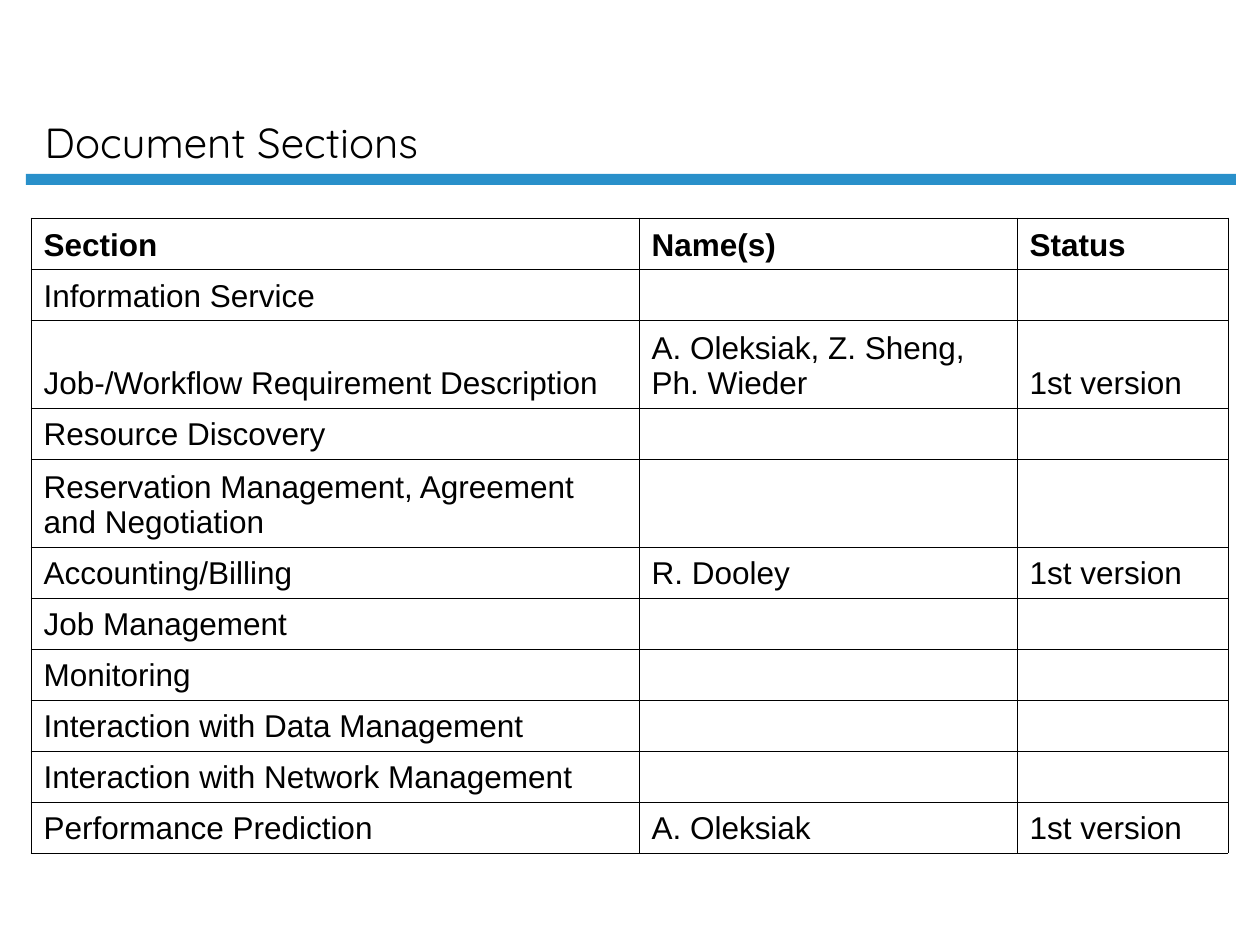
import pptx
import pptx.util
import pptx.dml.color
import pptx.enum.shapes
import pptx.enum.text
import lxml.etree
import pptx.oxml.ns

PX = 914400 / 126


def color(code):
    return pptx.dml.color.RGBColor.from_string(code)


def write(frame, text, size=18, font="Arial", bold=False, ink="000000"):
    frame.word_wrap = True
    par = frame.paragraphs[0]
    par.text = text
    par.alignment = pptx.enum.text.PP_ALIGN.LEFT
    par.font.size = pptx.util.Pt(size)
    par.font.name = font
    par.font.bold = bold
    par.font.color.rgb = color(ink)


deck = pptx.Presentation()
deck.slide_width = round(1260 * PX)
deck.slide_height = round(945 * PX)
slide = deck.slides.add_slide(deck.slide_layouts[5])

bar = slide.shapes.add_shape(
    pptx.enum.shapes.MSO_SHAPE.RECTANGLE,
    *[round(n * PX) for n in (26, 174, 1210, 11)])
bar.shadow.inherit = False
bar.fill.solid()
bar.fill.fore_color.rgb = color("2990CA")
bar.line.fill.background()

title = slide.shapes.title
title.left, title.top, title.width, title.height = [
    round(n * PX) for n in (32, 15, 1078, 158)]
title.text_frame.vertical_anchor = pptx.enum.text.MSO_ANCHOR.BOTTOM
title.text_frame.auto_size = pptx.enum.text.MSO_AUTO_SIZE.NONE
write(title.text_frame, "Document Sections", size=24, font="Quicksand")

rows = [
    ("Section", "Name(s)", "Status"),
    ("Information Service", "", ""),
    ("Job-/Workflow Requirement Description",
     "A. Oleksiak, Z. Sheng, Ph. Wieder", "1st version"),
    ("Resource Discovery", "", ""),
    ("Reservation Management, Agreement and Negotiation", "", ""),
    ("Accounting/Billing", "R. Dooley", "1st version"),
    ("Job Management", "", ""),
    ("Monitoring", "", ""),
    ("Interaction with Data Management", "", ""),
    ("Interaction with Network Management", "", ""),
    ("Performance Prediction", "A. Oleksiak", "1st version"),
]
widths = [608, 378, 211]
heights = [88 if i in (2, 4) else 51 for i in range(len(rows))]

table = slide.shapes.add_table(
    len(rows), len(widths),
    *[round(n * PX) for n in (31, 218, sum(widths), sum(heights))]).table
table.first_row = False
table.horz_banding = False
for col, width in zip(table.columns, widths):
    col.width = round(width * PX)

for i, (row, height) in enumerate(zip(rows, heights)):
    table.rows[i].height = round(height * PX)
    for j, text in enumerate(row):
        cell = table.cell(i, j)
        cell.vertical_anchor = pptx.enum.text.MSO_ANCHOR.BOTTOM
        write(cell.text_frame, text, bold=i == 0)
        props = cell._tc.get_or_add_tcPr()
        for side in "LRTB":
            line = lxml.etree.SubElement(
                props, pptx.oxml.ns.qn("a:ln" + side),
                w=str(pptx.util.Pt(0.45)))
            fill = lxml.etree.SubElement(line, pptx.oxml.ns.qn("a:solidFill"))
            lxml.etree.SubElement(
                fill, pptx.oxml.ns.qn("a:srgbClr"), val="000000")
        cell.fill.background()

deck.save("out.pptx")
